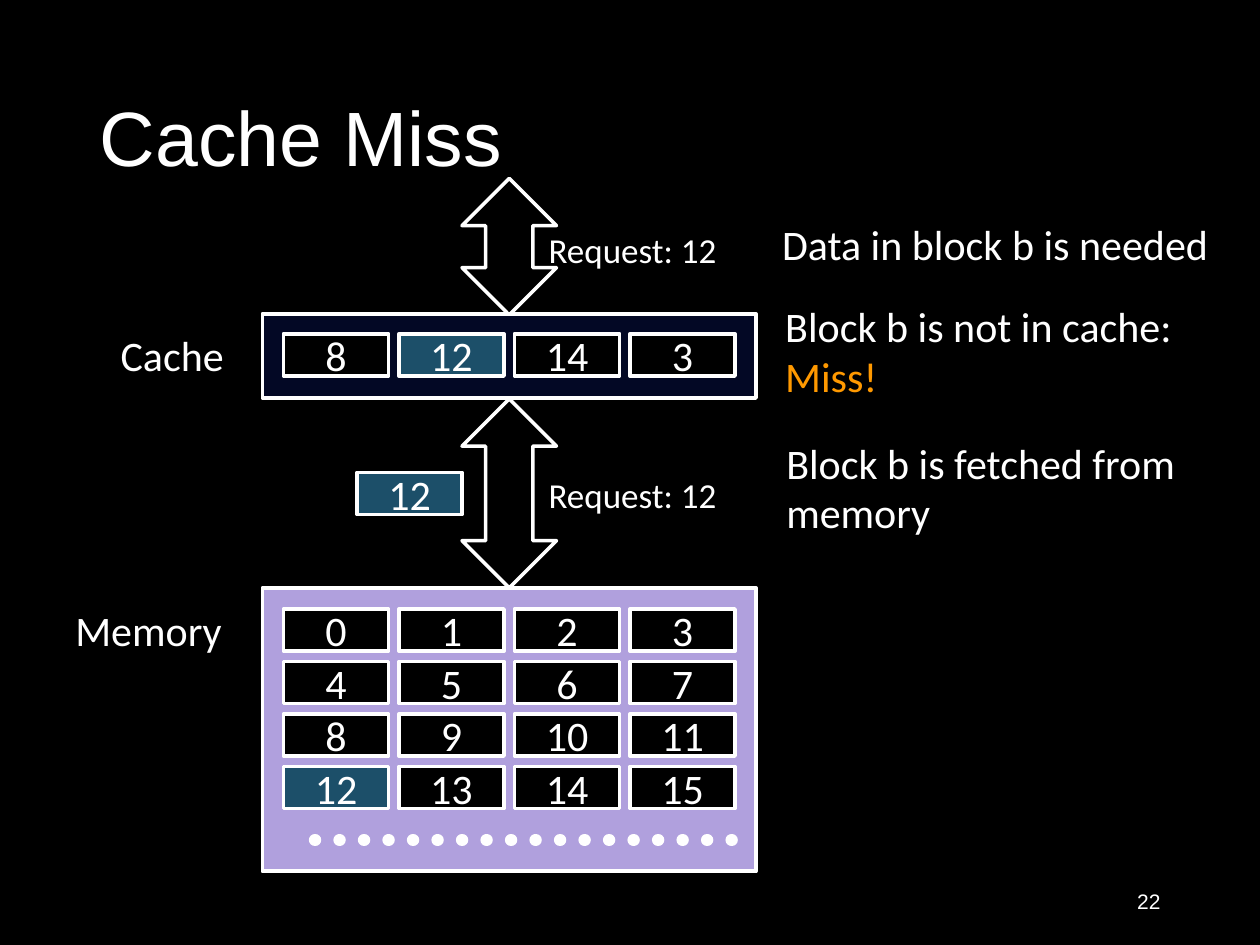
import pptx
import pptx.util
import pptx.dml.color
import pptx.enum.dml
import pptx.enum.shapes
import pptx.enum.text
import pptx.oxml
import pptx.oxml.ns

RGB = pptx.dml.color.RGBColor
BLACK = RGB(0x00, 0x00, 0x00)
WHITE = RGB(0xFF, 0xFF, 0xFF)
NAVY = RGB(0x03, 0x08, 0x25)
LILAC = RGB(0xB0, 0xA0, 0xDD)
TEAL = RGB(0x1C, 0x4F, 0x69)
ORANGE = RGB(0xFF, 0x99, 0x00)

SHAPE = pptx.enum.shapes.MSO_SHAPE
ALIGN = pptx.enum.text.PP_ALIGN
ANCHOR = pptx.enum.text.MSO_ANCHOR
COLUMNS, ROWS = 120, 90
CELL_W, CELL_H = 10, 4
PITCH_X, PITCH_Y = 11, 5
CELLS_LEFT = 27


class Deck:
    def __init__(self):
        self.prs = pptx.Presentation()
        self.prs.slide_width = pptx.util.Inches(10)
        self.prs.slide_height = pptx.util.Inches(7.5)
        self.s = self.prs.slides.add_slide(self.prs.slide_layouts[5])
        self.s.background.fill.solid()
        self.s.background.fill.fore_color.rgb = BLACK

    def box(self, x, y, w, h):
        dx = self.prs.slide_width / COLUMNS
        dy = self.prs.slide_height / ROWS
        return [round(v) for v in (x * dx, y * dy, w * dx, h * dy)]

    def fill_text(self, tf, text, size, align, font="Calibri", spacing=None):
        tf.text = text
        for p in tf.paragraphs:
            p.alignment = align
            p.line_spacing = spacing
            for r in p.runs:
                r.font.size = pptx.util.Pt(size)
                r.font.name = font
                r.font.color.rgb = WHITE

    def title(self, text, *at):
        sp = self.s.shapes.title
        sp.left, sp.top, sp.width, sp.height = self.box(*at)
        sp.text_frame.vertical_anchor = ANCHOR.MIDDLE
        self.fill_text(sp.text_frame, text, 44, ALIGN.LEFT, "Arial", 0.9)

    def shape(self, kind, fill, *at, line=2.25):
        sp = self.s.shapes.add_shape(kind, *self.box(*at))
        sp.shadow.inherit = False
        sp.fill.solid()
        sp.fill.fore_color.rgb = fill
        sp.line.color.rgb = WHITE
        sp.line.width = pptx.util.Pt(line)
        return sp

    def cell(self, number, x, y, fill=BLACK):
        sp = self.shape(SHAPE.RECTANGLE, fill, x, y, CELL_W, CELL_H)
        tf = sp.text_frame
        tf.vertical_anchor = ANCHOR.MIDDLE
        self.fill_text(tf, str(number), 24, ALIGN.CENTER)

    def cells(self, numbers, y):
        for i, number in enumerate(numbers):
            fill = TEAL if number == 12 else BLACK
            self.cell(number, CELLS_LEFT + i * PITCH_X, y, fill)

    def label(self, text, *at, size=24, align=ALIGN.LEFT, anchor=ANCHOR.TOP, spacing=None):
        tf = self.s.shapes.add_textbox(*self.box(*at)).text_frame
        tf.word_wrap = False
        tf.auto_size = pptx.enum.text.MSO_AUTO_SIZE.SHAPE_TO_FIT_TEXT
        tf.vertical_anchor = anchor
        self.fill_text(tf, text, size, align, spacing=spacing)
        return tf

    def note(self, text, *at):
        return self.label(text, *at, anchor=ANCHOR.MIDDLE, spacing=0.98)

    def number(self, text, *at):
        tf = self.s.shapes.add_textbox(*self.box(*at)).text_frame
        tf.word_wrap = True
        tf.vertical_anchor = ANCHOR.MIDDLE
        self.fill_text(tf, text, 12, ALIGN.RIGHT, "Arial")

    def dots(self, x1, x2, y):
        left, top, width, _ = self.box(x1, y, x2 - x1, 0)
        cx = self.s.shapes.add_connector(
            pptx.enum.shapes.MSO_CONNECTOR.STRAIGHT, left, top, left + width, top)
        cx.line.color.rgb = WHITE
        cx.line.width = pptx.util.Pt(7)
        cx.line.dash_style = pptx.enum.dml.MSO_LINE.ROUND_DOT
        spPr = cx._element.spPr
        spPr.find(pptx.oxml.ns.qn("a:ln")).set("cap", "rnd")
        ns = pptx.oxml.ns.nsdecls("a")
        spPr.append(pptx.oxml.parse_xml(f"<a:effectLst {ns}/>"))


def main():
    d = Deck()
    d.title("Cache Miss", 8.3, 4.8, 103.4, 17.4)
    d.number("22", 84.7, 83.4, 27, 4.8)

    for y, h in ((17, 13), (38, 18)):
        d.shape(SHAPE.UP_DOWN_ARROW, BLACK, 44, y, 9, h, line=2)
    d.shape(SHAPE.RECTANGLE, LILAC, 25, 56, 47, 27)
    d.shape(SHAPE.RECTANGLE, NAVY, 25, 29.9, 47, 8)

    for row in range(4):
        d.cells(range(4 * row, 4 * row + 4), 58 + row * PITCH_Y)
    d.dots(30, 70, 80)
    d.cells((8, 12, 14, 3), 31.8)
    d.cell(12, 34, 45, TEAL)

    d.label("Cache", 10.3, 30.8, 12.8, 6)
    d.label("Memory", 6, 57, 16.8, 6)
    for y in (21.2, 44.5):
        d.label("Request: 12", 51, y, 18.5, 5.3, size=20, align=ALIGN.CENTER)

    d.note("Data in block b is needed", 73.3, 20.4, 44.8, 6)
    tf = d.note("Block b is not in cache:\nMiss!", 73.6, 28.2, 40.4, 10.8)
    tf.paragraphs[1].runs[0].font.color.rgb = ORANGE
    d.note("Block b is fetched from\nmemory", 73.7, 41.2, 41.6, 10.8)

    d.prs.save("out.pptx")


if __name__ == "__main__":
    main()
